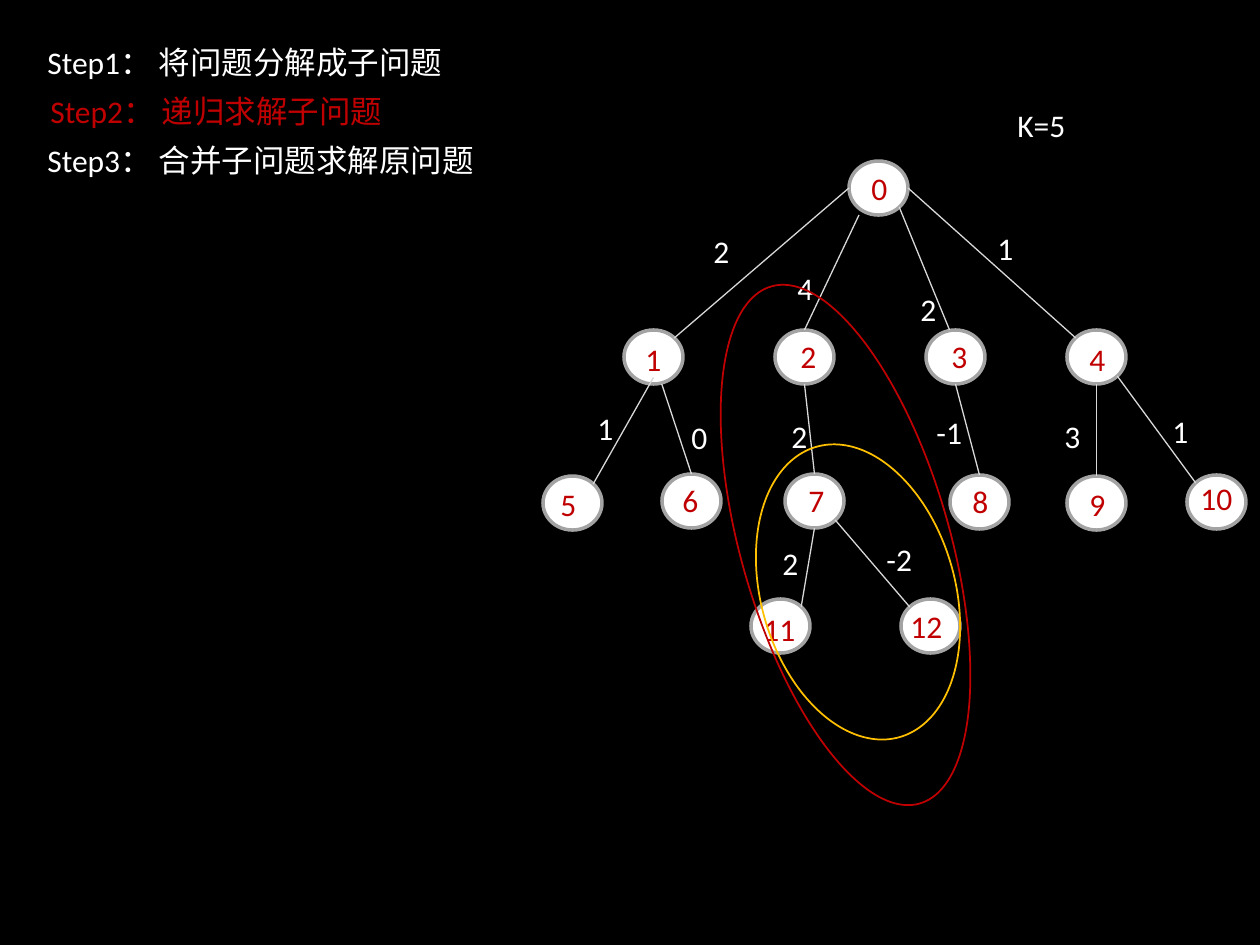
from lxml.etree import SubElement
from pptx import Presentation
from pptx.dml.color import RGBColor
from pptx.enum.shapes import MSO_CONNECTOR, MSO_SHAPE
from pptx.enum.text import MSO_AUTO_SIZE
from pptx.oxml.ns import qn
from pptx.util import Emu, Pt

WHITE = RGBColor(0xFF, 0xFF, 0xFF)
BLACK = RGBColor(0x00, 0x00, 0x00)
RED = RGBColor(0xC0, 0x00, 0x00)
GOLD = RGBColor(0xFF, 0xC0, 0x00)
NODE_EDGE = RGBColor(0xA3, 0xA3, 0xA3)
BRANCH = RGBColor(0xD8, 0xD8, 0xD8)

PX_PER_INCH = 126
NODE_W, NODE_H = 59, 54
LABEL_H = 50
DIGIT_W, DIGITS_W, WEIGHT_W = 40, 71, 69

# text, left, top, height, colour
STEPS = [
    ("Step1： 将问题分解成子问题", 35, 37, 89, WHITE),
    ("Step2： 递归求解子问题", 38, 86, 50, RED),
    ("Step3： 合并子问题求解原问题", 35, 135, 89, WHITE),
]
STEP_W = 595

# number: (node left, node top), (label left, label top)
NODES = {
    0: ((849, 161), (859, 163)),
    1: ((624, 330), (633, 334)),
    2: ((775, 330), (788, 331)),
    3: ((926, 330), (939, 331)),
    4: ((1067, 330), (1077, 334)),
    5: ((543, 476), (548, 479)),
    6: ((662, 474), (670, 475)),
    7: ((785, 474), (796, 475)),
    8: ((950, 475), (960, 476)),
    9: ((1067, 476), (1077, 479)),
    10: ((1187, 475), (1188, 473)),
    11: ((751, 599), (751, 604)),
    12: ((901, 599), (898, 601)),
}

# Points on a node, as fractions of its width and height
TOP, BOTTOM, LEFT, RIGHT = (0.5, 0), (0.5, 1), (0, 0.5), (1, 0.5)
TOP_LEFT, TOP_RIGHT, BOTTOM_RIGHT = (0.15, 0.15), (0.85, 0.15), (0.85, 0.85)

# parent, point on it, child, point on it, weight, weight left, weight top
EDGES = [
    (0, LEFT, 1, TOP_RIGHT, "2", 701, 226),
    (0, (0.17, 1), 2, TOP, "4", 785, 263),
    (0, BOTTOM_RIGHT, 3, (0.4, 0), "2", 908, 284),
    (0, RIGHT, 4, TOP_LEFT, "1", 985, 223),
    (1, (0.5, 0.88), 5, TOP_RIGHT, "1", 585, 403),
    (1, (0.64, 1), 6, TOP, "0", 679, 412),
    (2, BOTTOM, 7, TOP, "2", 779, 411),
    (3, BOTTOM, 8, TOP, "-1", 924, 407),
    (4, BOTTOM, 9, TOP, "3", 1052, 411),
    (4, BOTTOM_RIGHT, 10, TOP_LEFT, "1", 1160, 406),
    (7, BOTTOM, 11, TOP_RIGHT, "2", 770, 538),
    (7, BOTTOM_RIGHT, 12, TOP_LEFT, "-2", 874, 534),
]

TARGET = ("K=5", 1005, 100, 134)

# left, top, width, height, colour
RINGS = [
    (741, 276, 209, 538, RED),
    (761, 441, 194, 302, GOLD),
]
RING_ROTATION = 344


def px(length):
    return Emu(round(length * 914400 / PX_PER_INCH))


def add_label(shapes, text, left, top, width, height, colour):
    label = shapes.add_textbox(px(left), px(top), px(width), px(height))
    frame = label.text_frame
    frame.word_wrap = True
    frame.auto_size = MSO_AUTO_SIZE.SHAPE_TO_FIT_TEXT
    frame.text = text
    font = frame.paragraphs[0].runs[0].font
    font.name, font.size = "Calibri", Pt(18)
    font.color.rgb = colour


def add_oval(shapes, left, top, width, height, line, line_width, fill=None):
    oval = shapes.add_shape(MSO_SHAPE.OVAL, px(left), px(top), px(width), px(height))
    oval.shadow.inherit = False
    if fill is None:
        oval.fill.background()
    else:
        oval.fill.solid()
        oval.fill.fore_color.rgb = fill
    oval.line.color.rgb = line
    oval.line.width = Pt(line_width)
    return oval


def node_point(number, fraction):
    (left, top), _ = NODES[number]
    return px(left + NODE_W * fraction[0]), px(top + NODE_H * fraction[1])


def add_branch(shapes, start, end):
    branch = shapes.add_connector(MSO_CONNECTOR.STRAIGHT, *start, *end)
    branch.line.color.rgb = BRANCH
    branch.line.width = Pt(0.75)
    SubElement(branch._element.spPr, qn("a:effectLst"))


def add_tree(shapes):
    for node, _ in NODES.values():
        add_oval(shapes, *node, NODE_W, NODE_H, NODE_EDGE, 2, WHITE)
    for parent, start, child, end, *_ in EDGES:
        add_branch(shapes, node_point(parent, start), node_point(child, end))
    for number, (_, label) in NODES.items():
        width = DIGIT_W if number < 10 else DIGITS_W
        add_label(shapes, str(number), *label, width, LABEL_H, RED)
    for *_, weight, left, top in EDGES:
        add_label(shapes, weight, left, top, WEIGHT_W, LABEL_H, WHITE)


def main():
    deck = Presentation()
    deck.slide_width, deck.slide_height = px(1260), px(945)
    slide = deck.slides.add_slide(deck.slide_layouts[6])
    slide.background.fill.solid()
    slide.background.fill.fore_color.rgb = BLACK

    steps = slide.shapes.add_group_shape()
    for text, left, top, height, colour in STEPS:
        add_label(steps.shapes, text, left, top, STEP_W, height, colour)

    add_tree(slide.shapes.add_group_shape().shapes)
    add_label(slide.shapes, *TARGET, LABEL_H, WHITE)
    for *box, colour in RINGS:
        add_oval(slide.shapes, *box, colour, 1).rotation = RING_ROTATION

    deck.save("out.pptx")


if __name__ == "__main__":
    main()
